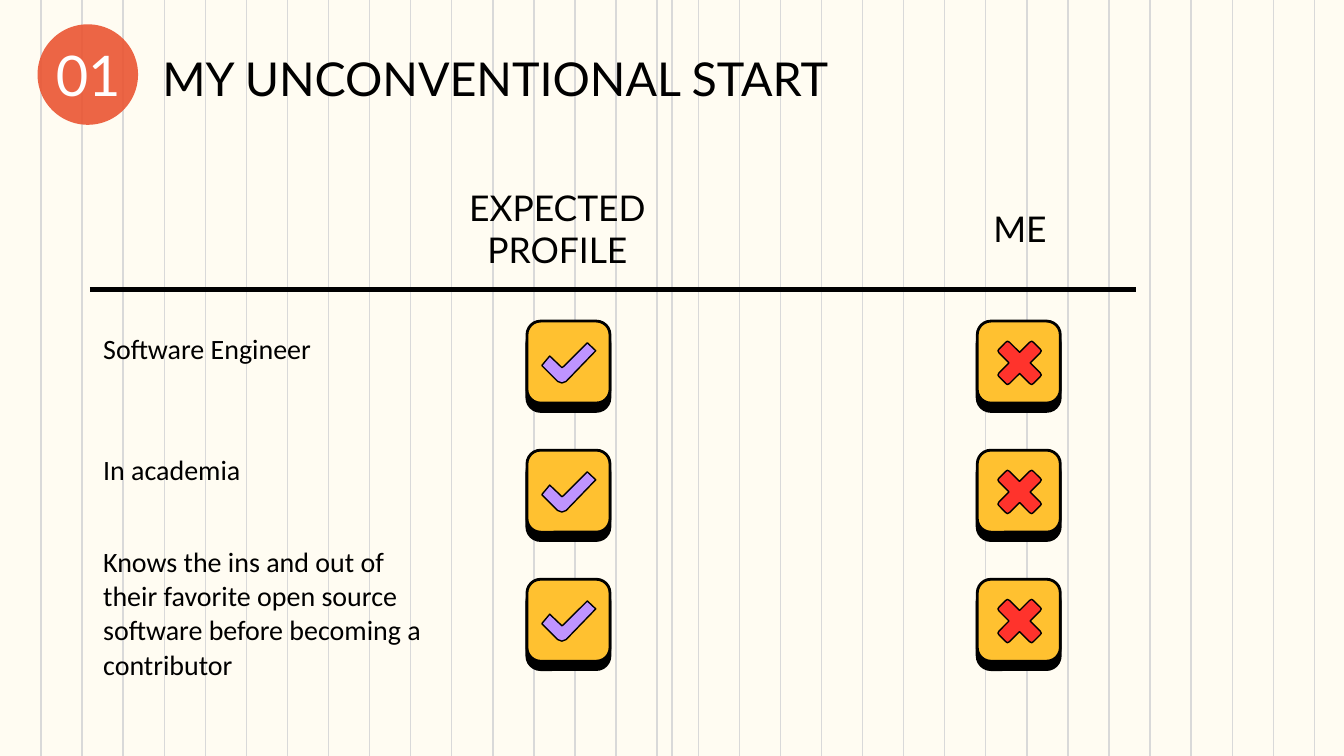
from lxml.etree import SubElement
from pptx import Presentation
from pptx.dml.color import RGBColor
from pptx.enum.shapes import MSO_CONNECTOR, MSO_SHAPE
from pptx.enum.text import MSO_ANCHOR, MSO_AUTO_SIZE, PP_ALIGN
from pptx.oxml import parse_xml
from pptx.oxml.ns import nsdecls, qn
from pptx.util import Cm, Pt

CREAM = RGBColor(0xFF, 0xFC, 0xF2)
GRID = RGBColor(0xD9, 0xD9, 0xD9)
ORANGE = RGBColor(0xEA, 0x53, 0x30)
YELLOW = RGBColor(0xFF, 0xC1, 0x30)
PURPLE = RGBColor(0xBF, 0x94, 0xFF)
RED = RGBColor(0xFF, 0x33, 0x2C)
BLACK = RGBColor(0, 0, 0)
WHITE = RGBColor(0xFF, 0xFF, 0xFF)

WIDTH, HEIGHT = 25.4, 14.29
NO_STYLE = "{2D5ABB26-0587-4C30-8999-92F81FD0307C}"

# Outlines in cm, measured from the key's top left corner
CHECK = [(1.14, 0.41), (0.69, 0.86), (0.66, 0.88), (0.64, 0.86), (0.43, 0.66),
         (0.28, 0.84), (0.58, 1.14), (0.66, 1.17), (0.74, 1.14), (1.3, 0.56)]


def cross_points(cx, cy):
    """One arm of the cross, turned four times about its centre."""
    arm = [(0, -0.2), (0.19, -0.39), (0.23, -0.41), (0.26, -0.39),
           (0.39, -0.26), (0.41, -0.23), (0.39, -0.19)]
    points = []
    for _ in range(4):
        points += [(cx + x, cy + y) for x, y in arm]
        arm = [(-y, x) for x, y in arm]
    return points


CROSS = cross_points(0.8, 0.79)


class Deck:
    heading_font, body_font = "Lato", "Calibri"

    def __init__(self, prs):
        self.s = prs.slides.add_slide(prs.slide_layouts[5])
        self.s.background.fill.solid()
        self.s.background.fill.fore_color.rgb = CREAM

    def style_text(self, p, size, font, color=BLACK, align=PP_ALIGN.LEFT):
        p.alignment = align
        p.font.size = Pt(size)
        p.font.name = font
        p.font.color.rgb = color

    def style_shape(self, sp, fill, line_width=None):
        sp.shadow.inherit = False
        sp.fill.solid()
        sp.fill.fore_color.rgb = fill
        if line_width is None:
            sp.line.fill.background()
        else:
            sp.line.color.rgb = BLACK
            sp.line.width = Pt(line_width)

    def frame(self, sp, text, anchor):
        tf = sp.text_frame
        tf.word_wrap = True
        tf.auto_size = MSO_AUTO_SIZE.NONE
        tf.vertical_anchor = anchor
        tf.margin_left = tf.margin_right = Cm(0.25)
        tf.margin_top = tf.margin_bottom = Cm(0.25)
        tf.text = text
        return tf.paragraphs[0]

    def grid_line(self, x):
        line = self.s.shapes.add_connector(
            MSO_CONNECTOR.STRAIGHT, Cm(x), 0, Cm(x), Cm(HEIGHT))
        line.line.color.rgb = GRID
        line.line.width = Pt(0.75)
        SubElement(line._element.spPr, qn("a:effectLst"))

    def title(self, text, x, y, w, h):
        sp = self.s.shapes.title
        sp.left, sp.top, sp.width, sp.height = Cm(x), Cm(y), Cm(w), Cm(h)
        p = self.frame(sp, text, MSO_ANCHOR.BOTTOM)
        p.line_spacing = 0.9
        self.style_text(p, 25, self.heading_font)
        self.s.shapes._spTree.append(sp._element)  # in front of the grid

    def badge(self, text, x, y, size):
        sp = self.s.shapes.add_shape(
            MSO_SHAPE.OVAL, Cm(x), Cm(y), Cm(size), Cm(size))
        self.style_shape(sp, ORANGE)
        color = sp._element.spPr.find(qn("a:solidFill"))[0]
        SubElement(color, qn("a:alpha"), val="89000")
        box = self.s.shapes.add_textbox(
            Cm(x - 0.13), Cm(y + 0.23), Cm(size + 0.28), Cm(1.42))
        p = self.frame(box, text, MSO_ANCHOR.MIDDLE)
        self.style_text(p, 30, self.heading_font, WHITE, PP_ALIGN.CENTER)

    def table(self, rows, x, y, widths, heights):
        frame = self.s.shapes.add_table(
            len(rows), len(widths), Cm(x), Cm(y),
            Cm(sum(widths)), Cm(sum(heights)))
        table = frame.table
        table.horz_banding = False
        table._tbl.tblPr.find(qn("a:tableStyleId")).text = NO_STYLE
        for column, w in zip(table.columns, widths):
            column.width = Cm(w)
        for row, h in zip(table.rows, heights):
            row.height = Cm(h)
        for i, texts in enumerate(rows):
            for j, text in enumerate(texts):
                self.cell(table.cell(i, j), text, header=i == 0)

    def cell(self, cell, text, header):
        cell.fill.background()
        cell.vertical_anchor = MSO_ANCHOR.MIDDLE
        cell.margin_left = cell.margin_right = Cm(0.25)
        cell.margin_top = cell.margin_bottom = Cm(0.18)
        if text:
            cell.text = text
            p = cell.text_frame.paragraphs[0]
            if header:
                self.style_text(p, 19, self.heading_font, align=PP_ALIGN.CENTER)
            else:
                self.style_text(p, 15, self.body_font)
        if header:
            border = parse_xml(
                f'<a:lnB {nsdecls("a")} w="{Pt(3)}"><a:solidFill>'
                f'<a:srgbClr val="{BLACK}"/></a:solidFill></a:lnB>')
            cell._tc.get_or_add_tcPr().insert(0, border)

    def key(self, x, y, outline, color):
        shapes = self.s.shapes.add_group_shape().shapes
        sp = shapes.add_shape(
            MSO_SHAPE.ROUNDED_RECTANGLE, Cm(x), Cm(y), Cm(1.57), Cm(1.55))
        self.style_shape(sp, YELLOW, 1.5)
        effects = sp._element.spPr.find(qn("a:effectLst"))
        shadow = SubElement(effects, qn("a:outerShdw"), blurRad="0",
                            dist=str(Pt(4.5)), dir=str(91 * 60000),
                            algn="bl", rotWithShape="0")
        SubElement(shadow, qn("a:srgbClr"), val=str(BLACK))
        points = [(Cm(x + dx), Cm(y + dy)) for dx, dy in outline]
        builder = shapes.build_freeform(*points[0])
        builder.add_line_segments(points[1:], close=True)
        self.style_shape(builder.convert_to_shape(), color, 0.75)


def main():
    prs = Presentation()
    prs.slide_width, prs.slide_height = Cm(WIDTH), Cm(HEIGHT)
    deck = Deck(prs)

    # Ruled background: even lines and one at the centre
    for i in range(1, 33):
        deck.grid_line(24.84 * i / 32)
    deck.grid_line(WIDTH / 2)

    # Heading
    deck.badge("01", 0.71, 0.46, 1.9)
    deck.title("MY UNCONVENTIONAL START", 2.82, 0.36, 15.21, 1.9)

    # Comparison table
    rows = [
        ["", "EXPECTED PROFILE", "", "ME"],
        ["Software Engineer", "", "", ""],
        ["In academia", "", "", ""],
        ["Knows the ins and out of their favorite open source software "
         "before becoming a contributor", "", "", ""],
    ]
    deck.table(rows, 1.7, 3.18, [6.65, 4.37, 4.37, 4.37],
               [2.29, 2.29, 2.29, 3.12])

    # Check and cross keys
    for i in range(3):
        y = 6.07 + 2.44 * i
        deck.key(9.96, y, CHECK, PURPLE)
        deck.key(18.47, y, CROSS, RED)

    prs.save("out.pptx")


if __name__ == "__main__":
    main()
